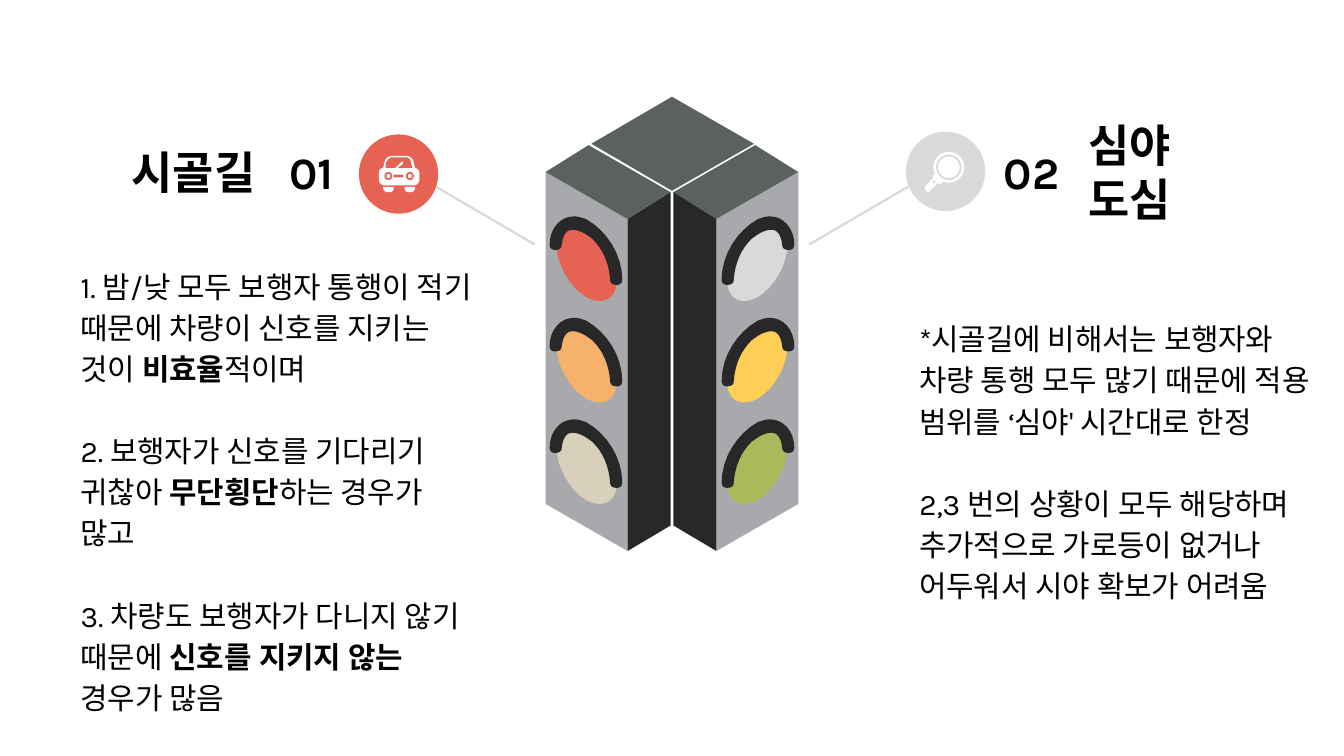
from dataclasses import dataclass

from lxml.etree import SubElement
from pptx import Presentation
from pptx.dml.color import RGBColor
from pptx.enum.lang import MSO_LANGUAGE_ID as Language
from pptx.enum.shapes import MSO_CONNECTOR as Connector, MSO_SHAPE as Preset
from pptx.enum.text import MSO_ANCHOR as Anchor, MSO_AUTO_SIZE as AutoSize, PP_ALIGN as Align
from pptx.oxml.ns import qn
from pptx.util import Inches, Pt

COLORS = {
    "black": "000000", "white": "FFFFFF", "gray": "D9D9D9", "red": "E66353",
    "orange": "F6B26B", "beige": "D8D0BB", "yellow": "FFCE56", "green": "A9BA5A",
    "face": "A8A9AD", "roof": "5B615C", "dark": "292828",
}
FONT = "Karla"
CURVE_STEPS = 8
LAMP_PITCH = 0.755

Box = tuple[float, float, float, float]
# A path is a start point followed by lines (x, y) and Bezier curves (six numbers)
Path = list[tuple[float, ...]]
Text = list[tuple[str, bool]]


@dataclass
class Topic:
    number: str
    heading: str
    color: str
    heading_box: Box
    number_box: Box
    list_box: Box
    circle: Box
    line: Box
    align: Align
    items: list[Text]


@dataclass
class Tower:
    mirrored: bool
    lamps: tuple[str, str, str]


TOPICS = [
    Topic("01", "시골길", "red", (0.5, 0.9, 1.5, 0.75), (1.99, 1.1, 0.65, 0.35),
          (0.5, 2.1, 3.12, 3.08), (2.67, 1.0, 0.59, 0.59), (3.09, 1.3, 3.98, 1.82), Align.RIGHT,
          [[("1. 밤/낮 모두 보행자 통행이 적기 때문에 차량이 신호를 지키는 것이 ", False),
            ("비효율", True), ("적이며", False)],
           [("2. 보행자가 신호를 기다리기 귀찮아 ", False),
            ("무단횡단", True), ("하는 경우가 많고", False)],
           [("3. 차량도 보행자가 다니지 않기 때문에 ", False),
            ("신호를 지키지 않는", True), (" 경우가 많음", False)]]),
    Topic("02", "심야 도심", "gray", (8, 0.9, 1.5, 0.75), (7.35, 1.1, 0.65, 0.35),
          (6.74, 1.93, 3.12, 2.98), (6.74, 0.98, 0.59, 0.59), (6.91, 1.3, 6.02, 1.82), Align.LEFT,
          [[("*시골길에 비해서는 보행자와 차량 통행 모두 많기 때문에 적용 범위를 "
             "‘심야' 시간대로 한정", False)],
           [("2,3 번의 상황이 모두 해당하며 추가적으로 가로등이 없거나 "
             "어두워서 시야 확보가 어려움", False)]]),
]
TOWERS = [Tower(False, ("red", "orange", "beige")), Tower(True, ("gray", "yellow", "green"))]

# Left half of the traffic light; the right half is its mirror image
WALLS: list[tuple[str, Path]] = [
    ("face", [(4.06, 1.28), (4.06, 3.75), (4.67, 4.1), (4.67, 1.63)]),
    ("roof", [(4.38, 1.08), (4.06, 1.28), (4.67, 1.63), (4.99, 1.43)]),
    ("dark", [(4.99, 1.43), (4.67, 1.63), (4.67, 4.1), (4.99, 3.91)]),
]
TOP: Path = [(5, 0.72), (4.4, 1.07), (5, 1.42), (5.61, 1.07)]
LENS: Path = [
    (4.26, 1.66), (4.19, 1.66, 4.14, 1.71, 4.14, 1.82), (4.14, 1.96, 4.24, 2.14, 4.36, 2.21),
    (4.4, 2.23, 4.43, 2.24, 4.46, 2.24), (4.54, 2.24, 4.59, 2.18, 4.59, 2.08),
    (4.59, 1.93, 4.49, 1.76, 4.36, 1.69), (4.32, 1.67, 4.29, 1.66, 4.26, 1.66)]
VISOR: Path = [
    (4.27, 1.61), (4.17, 1.61, 4.09, 1.7, 4.09, 1.82), (4.09, 1.85, 4.11, 1.86, 4.13, 1.86),
    (4.16, 1.86, 4.18, 1.85, 4.18, 1.82), (4.19, 1.74, 4.22, 1.71, 4.26, 1.71),
    (4.31, 1.71, 4.36, 1.74, 4.41, 1.78), (4.49, 1.86, 4.53, 1.96, 4.54, 2.08),
    (4.54, 2.11, 4.56, 2.12, 4.59, 2.12), (4.61, 2.12, 4.63, 2.11, 4.63, 2.08),
    (4.63, 1.9, 4.52, 1.72, 4.36, 1.63), (4.33, 1.62, 4.3, 1.61, 4.27, 1.61)]

CAR_BODY: Path = [
    (2.92, 1.16), (2.89, 1.16, 2.86, 1.18, 2.86, 1.22), (2.85, 1.25),
    (2.83, 1.25, 2.82, 1.27, 2.82, 1.28), (2.82, 1.34), (2.82, 1.36, 2.84, 1.38, 2.86, 1.38),
    (3.08, 1.38), (3.1, 1.38, 3.12, 1.36, 3.12, 1.34), (3.12, 1.28),
    (3.12, 1.27, 3.1, 1.25, 3.09, 1.25), (3.08, 1.22), (3.08, 1.18, 3.05, 1.16, 3.02, 1.16)]
CAR_WINDOW: Path = [
    (3.02, 1.17), (3.04, 1.17, 3.06, 1.19, 3.06, 1.22), (3.07, 1.25), (2.96, 1.25), (3, 1.22),
    (3, 1.21, 3, 1.2, 2.99, 1.2), (2.94, 1.25), (2.87, 1.25), (2.87, 1.22),
    (2.88, 1.19, 2.9, 1.17, 2.92, 1.17)]
WHEEL: Path = [
    (2.85, 1.39), (2.85, 1.42, 2.87, 1.43, 2.88, 1.43), (2.9, 1.43),
    (2.92, 1.43, 2.93, 1.42, 2.93, 1.39)]
HANDLE: Path = [
    (6.96, 1.29), (6.95, 1.3), (6.94, 1.31, 6.94, 1.32, 6.94, 1.33), (6.89, 1.38),
    (6.88, 1.39, 6.88, 1.41, 6.89, 1.42), (6.9, 1.43, 6.91, 1.43, 6.92, 1.42), (6.98, 1.36),
    (6.98, 1.37, 7, 1.37, 7.01, 1.36), (7.02, 1.35)]
HANDLE_GAP: Path = [(6.95, 1.34), (6.96, 1.35), (6.95, 1.37), (6.94, 1.35)]


def rgb(name: str) -> RGBColor:
    return RGBColor.from_string(COLORS[name])


def paint(shape, color: str):
    shape.shadow.inherit = False
    shape.fill.solid()
    shape.fill.fore_color.rgb = rgb(color)
    shape.line.fill.background()


def moved(path: Path, down: float = 0, mirrored: bool = False) -> Path:
    return [tuple(value + down if i % 2 else (10 - value if mirrored else value)
                  for i, value in enumerate(step)) for step in path]


def draw_path(page, path: Path, color: str):
    points = [path[0]]
    for step in path[1:]:
        if len(step) == 2:
            points.append(step)
            continue
        controls = [points[-1], step[:2], step[2:4], step[4:]]
        for i in range(1, CURVE_STEPS + 1):
            t = i / CURVE_STEPS
            weights = ((1 - t) ** 3, 3 * t * (1 - t) ** 2, 3 * t * t * (1 - t), t ** 3)
            points.append(tuple(sum(w * c[axis] for w, c in zip(weights, controls))
                                for axis in (0, 1)))
    corners = [(Inches(x), Inches(y)) for x, y in points]
    builder = page.shapes.build_freeform(*corners[0])
    builder.add_line_segments(corners[1:], close=True)
    paint(builder.convert_to_shape(), color)


def draw_preset(page, preset: Preset, box: Box, color: str):
    paint(page.shapes.add_shape(preset, *map(Inches, box)), color)


def draw_disc(page, x: float, y: float, radius: float, color: str):
    draw_preset(page, Preset.OVAL, (x - radius, y - radius, 2 * radius, 2 * radius), color)


def draw_line(page, ends: Box):
    line = page.shapes.add_connector(Connector.STRAIGHT, *map(Inches, ends))
    line.line.color.rgb = rgb("gray")
    line.line.width = Pt(1.2)
    SubElement(line._element.spPr, qn("a:effectLst"))


def write(shape, box: Box, items: list[Text], size: float, bold: bool,
          align: Align, spacing: float = 1.0, gap: float = 0):
    shape.left, shape.top, shape.width, shape.height = map(Inches, box)
    frame = shape.text_frame
    frame.word_wrap = True
    frame.auto_size = AutoSize.NONE
    frame.vertical_anchor = Anchor.MIDDLE
    frame.margin_left = frame.margin_right = frame.margin_top = frame.margin_bottom = Inches(0.1)
    for i, spans in enumerate(items):
        para = frame.paragraphs[0] if i == 0 else frame.add_paragraph()
        para.alignment = align
        para.line_spacing = spacing
        para.space_before = Pt(gap if i else 0)
        props = para._p.get_or_add_pPr()
        props.set("marL", "0")
        props.set("indent", "0")
        SubElement(props, qn("a:buNone"))
        para.font.name, para.font.size, para.font.bold = FONT, Pt(size), bold
        para.font.color.rgb = rgb("black")
        SubElement(props.find(qn("a:defRPr")), qn("a:ea"), typeface=FONT)
        for text, strong in spans:
            span = para.add_run()
            span.text = text
            span.font.language_id = Language.KOREAN
            if strong:
                span.font.bold = True


def draw_topic(page, topic: Topic, heading, body):
    draw_line(page, topic.line)
    draw_preset(page, Preset.OVAL, topic.circle, topic.color)
    write(heading, topic.heading_box, [[(topic.heading, False)]], 24, True, topic.align)
    number = page.shapes.add_textbox(0, 0, 0, 0)
    write(number, topic.number_box, [[(topic.number, False)]], 24, True, Align.CENTER)
    write(body, topic.list_box, topic.items, 16, False, Align.LEFT, spacing=1.15, gap=22)


def draw_tower(page, tower: Tower):
    for color, wall in WALLS:
        draw_path(page, moved(wall, mirrored=tower.mirrored), color)
    for row, lamp in enumerate(tower.lamps):
        for path, color in ((LENS, lamp), (VISOR, "dark")):
            draw_path(page, moved(path, row * LAMP_PITCH, tower.mirrored), color)


def draw_car(page):
    draw_path(page, CAR_BODY, "white")
    draw_path(page, CAR_WINDOW, "red")
    draw_preset(page, Preset.ROUNDED_RECTANGLE, (2.93, 1.3, 0.07, 0.02), "red")
    for x in (2.89, 3.05):
        draw_disc(page, x, 1.31, 0.03, "red")
        draw_disc(page, x, 1.31, 0.015, "white")
    # The car's centre line is at 2.97, so its wheels mirror around it
    draw_path(page, WHEEL, "white")
    draw_path(page, [tuple(v if i % 2 else 5.94 - v for i, v in enumerate(step))
                     for step in WHEEL], "white")


def draw_magnifier(page):
    draw_path(page, HANDLE, "white")
    draw_path(page, HANDLE_GAP, "gray")
    for radius, color in ((0.115, "white"), (0.095, "gray"), (0.08, "white")):
        draw_disc(page, 7.06, 1.245, radius, color)


def main():
    deck = Presentation()
    deck.slide_width = Inches(10)
    deck.slide_height = deck.slide_width * 9 // 16
    page = deck.slides.add_slide(deck.slide_layouts.get_by_name("Comparison"))
    title = page.shapes.title._element
    title.getparent().remove(title)
    holders = {holder.placeholder_format.idx: holder for holder in page.placeholders}

    # Traffic light
    for tower in TOWERS:
        draw_tower(page, tower)
    draw_path(page, TOP, "roof")

    # Headings, lists and icons
    for i, topic in enumerate(TOPICS):
        draw_topic(page, topic, holders[2 * i + 1], holders[2 * i + 2])
    draw_car(page)
    draw_magnifier(page)
    deck.save("out.pptx")


if __name__ == "__main__":
    main()
